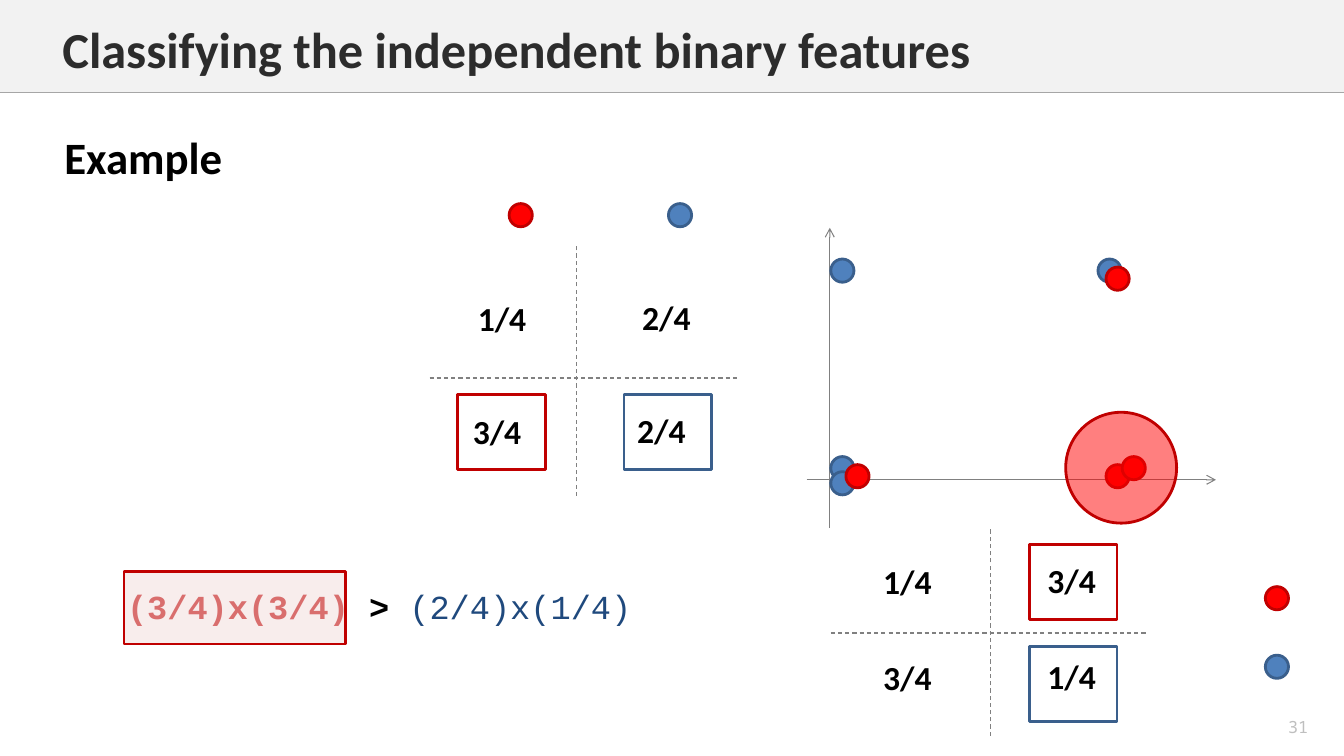
from typing import NamedTuple

from lxml.etree import SubElement
from pptx import Presentation
from pptx.dml.color import RGBColor
from pptx.enum.dml import MSO_LINE
from pptx.enum.shapes import MSO_CONNECTOR, MSO_SHAPE
from pptx.enum.text import MSO_ANCHOR, PP_ALIGN
from pptx.oxml.ns import qn
from pptx.shapes.autoshape import Shape
from pptx.shapes.connector import Connector
from pptx.util import Emu, Pt

PX = 9144  # 100 px to the inch
DOT_SIZE = 23
COLOURS = {
    "band": "F2F2F2", "band_edge": "A6A6A6", "title": "2C2C2C", "number": "BFBFBF",
    "axis": "808080", "text": "000000", "navy": "1F497D", "pink": "F2DCDB",
    "red": "FF0000", "red_edge": "C00000", "blue": "4F81BD", "blue_edge": "3A5F8C",
}


class Box(NamedTuple):
    left: int
    top: int
    width: int
    height: int


class Dot(NamedTuple):
    left: int
    top: int
    colour: str


class Stroke(NamedTuple):
    start: tuple[int, int]
    end: tuple[int, int]


class Fraction(NamedTuple):
    left: int
    top: int
    value: str


class Frame(NamedTuple):
    left: int
    top: int
    colour: str


class Term(NamedTuple):
    text: str
    colour: str
    bold: bool


PLOT_DOTS = [
    Dot(824, 453, "blue"), Dot(1097, 461, "red"), Dot(824, 468, "blue"),
    Dot(824, 257, "blue"), Dot(1089, 257, "blue"), Dot(1097, 265, "red"),
    Dot(839, 461, "red"), Dot(1113, 453, "red"),
]
LABEL_DOTS = [
    Dot(1255, 582, "red"), Dot(1255, 650, "blue"),
    Dot(505, 202, "red"), Dot(663, 202, "blue"),
]
AXES = [Stroke((800, 476), (1206, 476)), Stroke((823, 524), (823, 226))]
DIVIDERS = [
    Stroke((824, 628), (1139, 628)), Stroke((426, 375), (732, 375)),
    Stroke((572, 492), (572, 242)), Stroke((982, 730), (982, 525)),
]
FRACTIONS = [
    Fraction(858, 549, "1/4"), Fraction(1021, 548, "3/4"),
    Fraction(858, 644, "3/4"), Fraction(1021, 643, "1/4"),
    Fraction(456, 288, "1/4"), Fraction(619, 287, "2/4"),
    Fraction(451, 400, "3/4"), Fraction(614, 399, "2/4"),
]
FRAMES = [
    Frame(619, 391, "blue_edge"), Frame(1021, 641, "blue_edge"),
    Frame(454, 391, "red_edge"), Frame(1021, 540, "red_edge"),
]
COMPARISON = [
    Term("(3/4)x(3/4) ", "red_edge", True),
    Term("> ", "text", True),
    Term("(2/4)x(1/4)", "navy", False),
]


def rgb(colour: str) -> RGBColor:
    return RGBColor.from_string(COLOURS[colour])


def emu(*lengths: int) -> list[Emu]:
    return [Emu(length * PX) for length in lengths]


def add_outline(shapes, kind: MSO_SHAPE, box: Box, fill: str | None = None,
                edge: str | None = None, opacity: int = 100) -> Shape:
    """Add a preset shape; a missing fill or edge colour means none is drawn."""
    shape = shapes.add_shape(kind, *emu(*box))
    shape.shadow.inherit = False
    if fill:
        shape.fill.solid()
        shape.fill.fore_color.rgb = rgb(fill)
        if opacity < 100:
            colour = shape.element.spPr.find(qn("a:solidFill"))[0]
            SubElement(colour, qn("a:alpha"), val=str(opacity * 1000))
    else:
        shape.fill.background()
    if edge:
        shape.line.color.rgb = rgb(edge)
        shape.line.width = Pt(2)
    else:
        shape.line.fill.background()
    return shape


def add_dot(shapes, dot: Dot) -> None:
    box = Box(dot.left, dot.top, DOT_SIZE, DOT_SIZE)
    add_outline(shapes, MSO_SHAPE.FLOWCHART_CONNECTOR, box, dot.colour, f"{dot.colour}_edge")


def add_stroke(shapes, stroke: Stroke, colour: str = "axis", width: float = 0.75) -> Connector:
    line = shapes.add_connector(MSO_CONNECTOR.STRAIGHT, *emu(*stroke.start, *stroke.end))
    line.line.color.rgb = rgb(colour)
    line.line.width = Pt(width)
    SubElement(line.element.spPr, qn("a:effectLst"))
    return line


def add_axis(shapes, stroke: Stroke) -> None:
    axis = add_stroke(shapes, stroke)
    SubElement(axis.line._get_or_add_ln(), qn("a:tailEnd"), type="arrow")


def add_text(shapes, box: Box, text: str, size: int, colour: str = "text",
             font: str = "Calibri", bold: bool = True, centred: bool = False) -> None:
    frame = shapes.add_textbox(*emu(*box)).text_frame
    frame.word_wrap = True
    frame.text = text
    paragraph = frame.paragraphs[0]
    if centred:
        frame.vertical_anchor = MSO_ANCHOR.MIDDLE
        paragraph.alignment = PP_ALIGN.CENTER
    style = paragraph.runs[0].font
    style.name, style.size, style.bold = font, Pt(size), bold
    style.color.rgb = rgb(colour)


def add_comparison(shapes, box: Box) -> None:
    frame = shapes.add_textbox(*emu(*box)).text_frame
    frame.word_wrap = True
    frame.vertical_anchor = MSO_ANCHOR.MIDDLE
    frame.margin_left = frame.margin_right = frame.margin_top = frame.margin_bottom = 0
    for term in COMPARISON:
        run = frame.paragraphs[0].add_run()
        run.text = term.text
        run.font.name, run.font.size, run.font.bold = "Courier New", Pt(24), term.bold
        run.font.color.rgb = rgb(term.colour)


def main() -> None:
    presentation = Presentation()
    presentation.slide_width, presentation.slide_height = emu(1333, 750)
    shapes = presentation.slides.add_slide(presentation.slide_layouts[6]).shapes

    add_outline(shapes, MSO_SHAPE.RECTANGLE, Box(0, 0, 1333, 92), "band")
    add_stroke(shapes, Stroke((0, 92), (1333, 92)), "band_edge", 1)
    add_text(shapes, Box(1244, 706, 87, 31), "31", 12, "number", "Noto Sans Mono",
             bold=False, centred=True)

    plot = shapes.add_group_shape().shapes
    for axis in AXES:
        add_axis(plot, axis)
    for dot in PLOT_DOTS:
        add_dot(plot, dot)

    for dot in LABEL_DOTS:
        add_dot(shapes, dot)
    for divider in DIVIDERS:
        add_stroke(shapes, divider).line.dash_style = MSO_LINE.DASH
    for fraction in FRACTIONS:
        add_text(shapes, Box(fraction.left, fraction.top, 84, 55), fraction.value, 24,
                 centred=True)
    for frame in FRAMES:
        add_outline(shapes, MSO_SHAPE.RECTANGLE, Box(frame.left, frame.top, 87, 75),
                    edge=frame.colour)

    add_comparison(shapes, Box(126, 530, 588, 143))
    add_outline(shapes, MSO_SHAPE.FLOWCHART_CONNECTOR, Box(1057, 409, 110, 110),
                "red", "red_edge", opacity=50)
    add_outline(shapes, MSO_SHAPE.RECTANGLE, Box(123, 567, 220, 72),
                "pink", "red_edge", opacity=50)
    add_text(shapes, Box(52, 13, 1189, 71), "Classifying the independent binary features",
             36, "title")
    add_text(shapes, Box(54, 124, 683, 64), "Example", 32)

    presentation.save("out.pptx")


if __name__ == "__main__":
    main()
